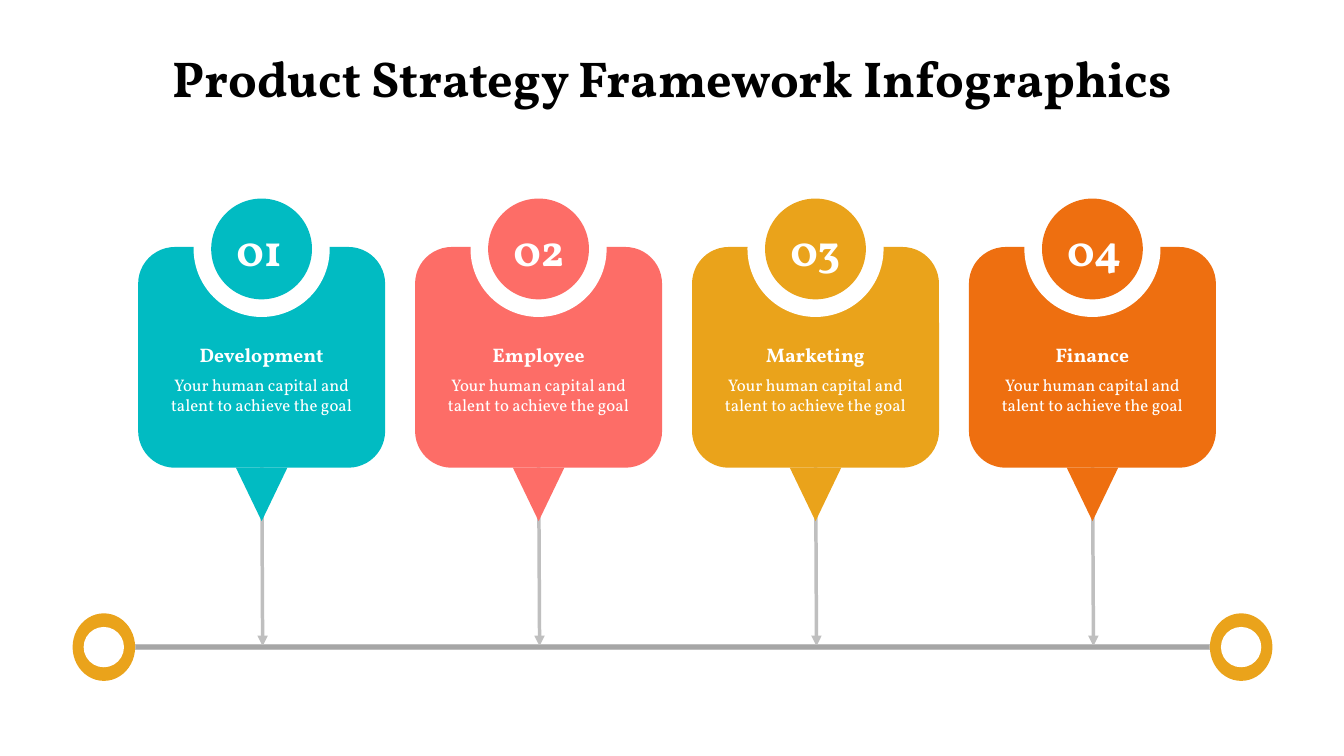
"""Build the product strategy framework slide: four numbered cards above a rail."""
from lxml import etree
from pptx import Presentation
from pptx.dml.color import RGBColor
from pptx.enum.shapes import MSO_CONNECTOR as LINE, MSO_SHAPE as SHAPE
from pptx.enum.text import MSO_ANCHOR as ANCHOR, PP_ALIGN as ALIGN
from pptx.oxml.ns import qn
from pptx.util import Inches, Pt

COLORS = {
    "teal": "01BBC2", "coral": "FD6D67", "gold": "EAA31B", "orange": "EE6F10",
    "white": "FFFFFF", "black": "000000", "rail": "A6A6A6", "arrow": "BFBFBF",
}
FONT = "Vollkorn"
SLIDE_WIDTH, SLIDE_HEIGHT = 13.33, 7.5
CARDS = [("Development", "teal"), ("Employee", "coral"),
         ("Marketing", "gold"), ("Finance", "orange")]
CARD_TEXT = "Your human capital and talent to achieve the goal"
CARD_TOP, CARD_WIDTH, CARD_HEIGHT = 2.45, 2.45, 2.19
CARD_BOTTOM = CARD_TOP + CARD_HEIGHT
GRID_LEFT, GRID_RIGHT = 1.37, 12.06
PITCH = (GRID_RIGHT - GRID_LEFT - CARD_WIDTH) / (len(CARDS) - 1)
CENTERS = [GRID_LEFT + CARD_WIDTH / 2 + PITCH * column for column in range(len(CARDS))]
BADGE_MIDDLE = 2.47
RAIL_MIDDLE = 6.42
RING_WIDTH, RING_HEIGHT, RING_HOLE = 0.62, 0.67, 0.4
RAIL_LEFT, RAIL_RIGHT = 1.34, 12.0


def color(name):
    return RGBColor.from_string(COLORS[name])


def add_solid(page, kind, center, middle, width, height, fill):
    shape = page.shapes.add_shape(kind, Inches(center - width / 2), Inches(middle - height / 2),
                                  Inches(width), Inches(height))
    shape.shadow.inherit = False
    shape.fill.solid()
    shape.fill.fore_color.rgb = color(fill)
    shape.line.fill.background()
    return shape


def add_text(page, left, top, width, height, lines, fill, align=ALIGN.CENTER, gap=0):
    box = page.shapes.add_textbox(Inches(left), Inches(top), Inches(width), Inches(height))
    frame = box.text_frame
    frame.word_wrap = True
    frame.text = "\n".join(text for text, size, bold in lines)
    for index, (para, (text, size, bold)) in enumerate(zip(frame.paragraphs, lines)):
        para.alignment = align
        if index:
            para.space_before = Pt(gap)
        font = para.runs[0].font
        font.name, font.size, font.bold = FONT, Pt(size), bold
        font.color.rgb = color(fill)
    return frame


def add_arrow(page, center):
    arrow = page.shapes.add_connector(LINE.STRAIGHT, Inches(center), Inches(4.34),
                                      Inches(center + 0.01), Inches(6.41))
    arrow.line.color.rgb = color("arrow")
    arrow.line.width = Pt(2.5)
    etree.SubElement(arrow.line._get_or_add_ln(), qn("a:tailEnd"), type="triangle")
    etree.SubElement(arrow._element.spPr, qn("a:effectLst"))


def add_rail(page):
    rail = add_solid(page, SHAPE.RECTANGLE, (RAIL_LEFT + RAIL_RIGHT) / 2, RAIL_MIDDLE,
                     RAIL_RIGHT - RAIL_LEFT, 0.05, "rail")
    rail.line.color.rgb = color("arrow")
    rail.line.width = Pt(1)
    for center in (RAIL_LEFT - RING_WIDTH / 2, RAIL_RIGHT + RING_WIDTH / 2):
        add_solid(page, SHAPE.OVAL, center, RAIL_MIDDLE, RING_WIDTH, RING_HEIGHT, "gold")
        add_solid(page, SHAPE.OVAL, center, RAIL_MIDDLE, RING_HOLE, RING_HOLE, "white")


def add_card(page, center, number, title, fill):
    add_solid(page, SHAPE.ROUNDED_RECTANGLE, center, CARD_TOP + CARD_HEIGHT / 2,
              CARD_WIDTH, CARD_HEIGHT, fill)
    pointer = add_solid(page, SHAPE.ISOSCELES_TRIANGLE, center, CARD_BOTTOM + 0.265,
                        0.51, 0.53, fill)
    pointer.rotation = 180
    for size, badge_fill in ((1.35, "white"), (1.0, fill)):
        add_solid(page, SHAPE.OVAL, center, BADGE_MIDDLE, size, size, badge_fill)
    label = add_text(page, center - 0.25, 2.15, 0.8, 0.64, [(f"{number:02}", 32, True)],
                     "white", ALIGN.LEFT)
    label.margin_left = label.margin_right = 0
    body = add_text(page, center - 1.15, 3.35, 2.3, 0.82,
                    [(title, 14, True), (CARD_TEXT, 12, False)], "white", gap=6)
    body.vertical_anchor = ANCHOR.MIDDLE


def main():
    deck = Presentation()
    deck.slide_width, deck.slide_height = Inches(SLIDE_WIDTH), Inches(SLIDE_HEIGHT)
    page = deck.slides.add_slide(deck.slide_layouts[6])
    for center in CENTERS:
        add_arrow(page, center)
    add_rail(page)
    for number, (center, (title, fill)) in enumerate(zip(CENTERS, CARDS), start=1):
        add_card(page, center, number, title, fill)
    add_text(page, 0, 0.42, SLIDE_WIDTH, 0.71,
             [("Product Strategy Framework Infographics", 36, True)], "black")
    deck.save("out.pptx")


if __name__ == "__main__":
    main()
